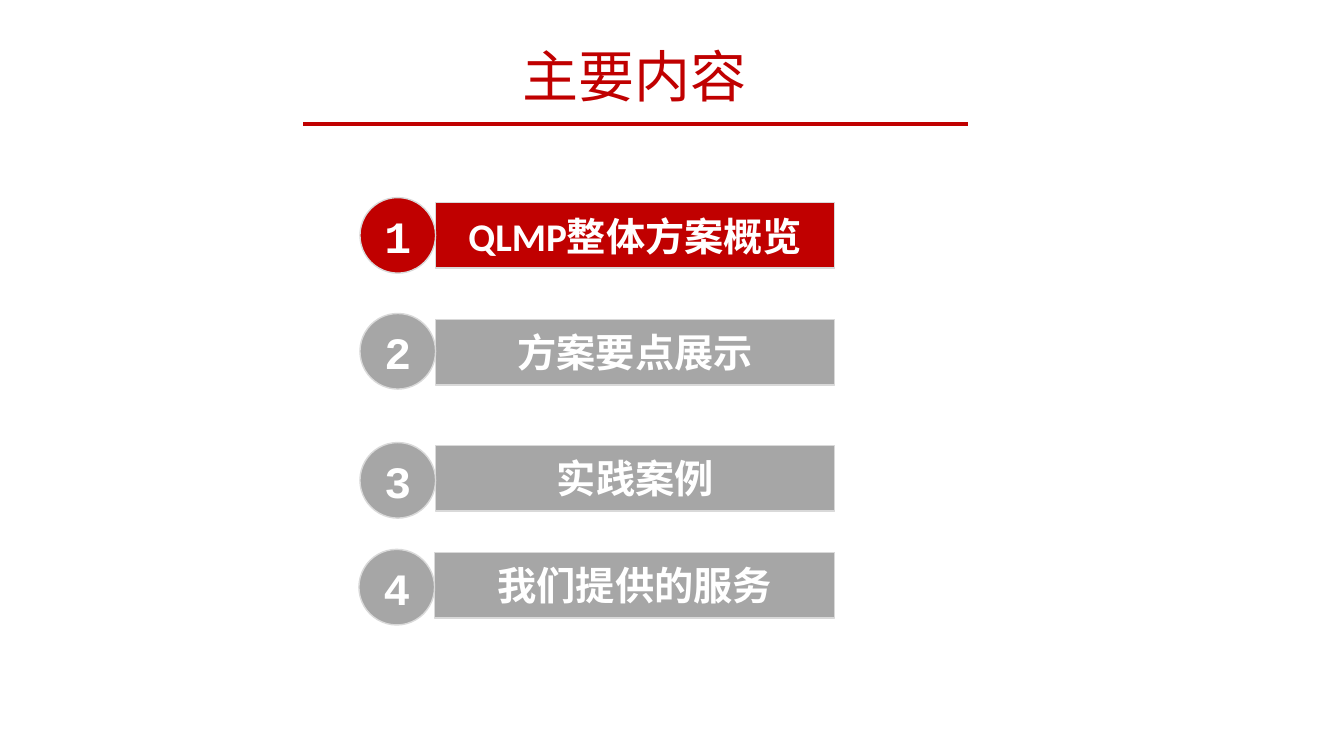
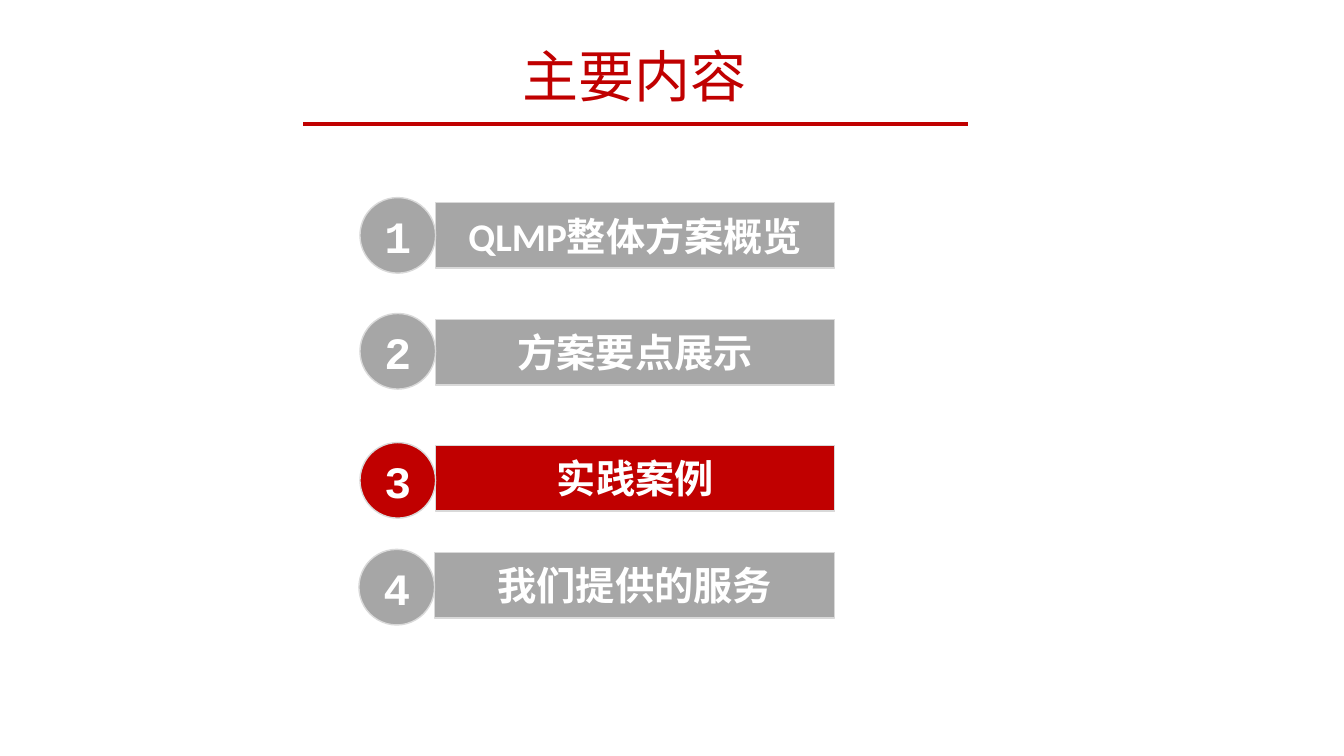
from dataclasses import dataclass

from lxml.etree import SubElement
from pptx import Presentation
from pptx.dml.color import RGBColor
from pptx.enum.shapes import MSO_CONNECTOR, MSO_SHAPE
from pptx.enum.text import MSO_ANCHOR, MSO_AUTO_SIZE, PP_ALIGN
from pptx.oxml.ns import qn
from pptx.util import Inches, Pt


@dataclass(frozen=True)
class Theme:
    accent: RGBColor = RGBColor(0xC0, 0x00, 0x00)
    muted: RGBColor = RGBColor(0xA6, 0xA6, 0xA6)
    outline: RGBColor = RGBColor(0xD9, 0xD9, 0xD9)
    white: RGBColor = RGBColor(0xFF, 0xFF, 0xFF)
    text_font: str = "Calibri"
    number_font: str = "Courier New"
    title_size: Pt = Pt(40)
    chapter_size: Pt = Pt(28)
    number_size: Pt = Pt(32)
    rule_width: Pt = Pt(3)
    outline_width: Pt = Pt(1)


THEME = Theme()
BADGE_SIZE = 0.75
BAR_RIGHT = 8.28
BAR_HEIGHT = 0.65

# Chapter, badge left, badge top, bar top
CHAPTERS = [
    ("QLMP整体方案概览", 3.57, 1.96, 2.01),
    ("方案要点展示", 3.57, 3.11, 3.17),
    ("实践案例", 3.57, 4.39, 4.42),
    ("我们提供的服务", 3.56, 5.45, 5.48),
]
ACTIVE_CHAPTERS = [1, 3]


def write_run(paragraph, text, font_name, size, color, bold=False):
    paragraph.alignment = PP_ALIGN.CENTER
    run = paragraph.add_run()
    run.text = text
    run.font.name = font_name
    run.font.size = size
    run.font.color.rgb = color
    run.font.bold = bold


def add_label(slide, preset, box, fill, text, font_name, size):
    """Add a filled, outlined shape with centred bold white text."""
    label = slide.shapes.add_shape(preset, *(Inches(length) for length in box))
    label.shadow.inherit = False
    label.fill.solid()
    label.fill.fore_color.rgb = fill
    label.line.color.rgb = THEME.outline
    label.line.width = THEME.outline_width
    label.text_frame.vertical_anchor = MSO_ANCHOR.MIDDLE
    write_run(label.text_frame.paragraphs[0], text, font_name, size, THEME.white, bold=True)


deck = Presentation()
deck.slide_width = Inches(13.33)
deck.slide_height = Inches(7.5)
title_only = deck.slide_layouts[5]

for active in ACTIVE_CHAPTERS:
    slide = deck.slides.add_slide(title_only)

    title = slide.shapes.title
    title.left, title.top = Inches(2.04), Inches(0.36)
    title.width, title.height = Inches(8.5), Inches(0.92)
    title.text_frame.auto_size = MSO_AUTO_SIZE.NONE
    title.text_frame.vertical_anchor = MSO_ANCHOR.TOP
    heading = title.text_frame.paragraphs[0]
    write_run(heading, "主要内容", THEME.text_font, THEME.title_size, THEME.accent)

    rule = slide.shapes.add_connector(
        MSO_CONNECTOR.STRAIGHT, Inches(3.01), Inches(1.23), Inches(9.6), Inches(1.23)
    )
    rule.line.color.rgb = THEME.accent
    rule.line.width = THEME.rule_width
    SubElement(rule._element.spPr, qn("a:effectLst"))

    for number, (chapter, badge_left, badge_top, bar_top) in enumerate(CHAPTERS, start=1):
        fill = THEME.accent if number == active else THEME.muted
        bar_left = badge_left + BADGE_SIZE
        add_label(
            slide, MSO_SHAPE.RECTANGLE,
            (bar_left, bar_top, BAR_RIGHT - bar_left, BAR_HEIGHT),
            fill, chapter, THEME.text_font, THEME.chapter_size,
        )
        add_label(
            slide, MSO_SHAPE.OVAL,
            (badge_left, badge_top, BADGE_SIZE, BADGE_SIZE),
            fill, str(number), THEME.number_font, THEME.number_size,
        )

deck.save("out.pptx")
